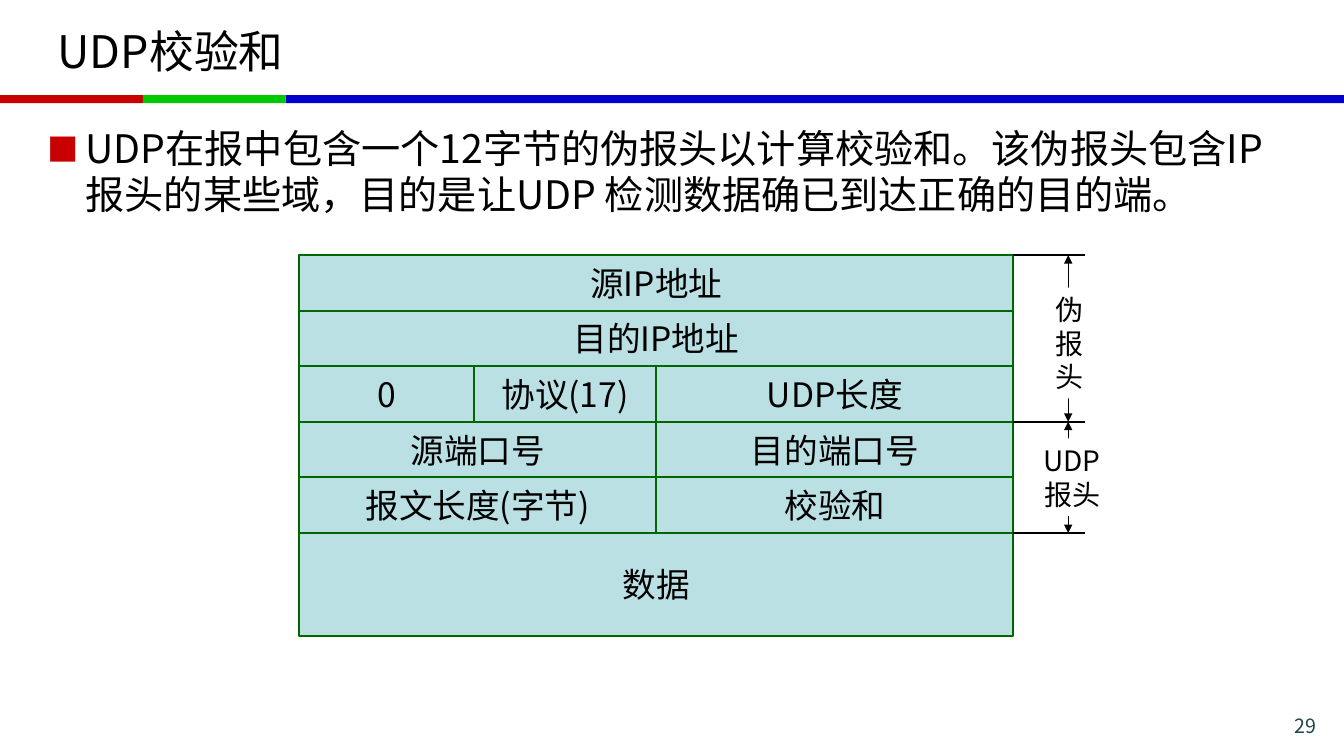
from lxml import etree
from pptx import Presentation
from pptx.dml.color import RGBColor
from pptx.enum import shapes, text
from pptx.oxml import ns
from pptx.util import Cm, Pt

FONT = "Noto Sans CJK SC"
LEFT, TOP, ROW = 7.54, 6.43, 1.4
THIRD, MID, HALF = 4.4, 4.6, 9
FULL = THIRD + MID + HALF
ROWS = [
    (ROW, [("源IP地址", FULL)]),
    (ROW, [("目的IP地址", FULL)]),
    (ROW, [("0", THIRD), ("协议(17)", MID), ("UDP长度", HALF)]),
    (ROW, [("源端口号", HALF), ("目的端口号", HALF)]),
    (ROW, [("报文长度(字节)", HALF), ("校验和", HALF)]),
    (2.59, [("数据", FULL)]),
]


def color(code):
    return RGBColor.from_string(code)


def child(parent, tag, **attrs):
    return etree.SubElement(parent, ns.qn(tag), attrs)


def write(shape, words, size=24, ink="000000", align="CENTER",
          anchor="MIDDLE", wrap=True, line=None):
    """Fill a shape with one paragraph; line is an exact line height in points."""
    frame = shape.text_frame
    frame.auto_size = text.MSO_AUTO_SIZE.NONE
    frame.word_wrap = wrap
    frame.vertical_anchor = text.MSO_ANCHOR[anchor]
    para = frame.paragraphs[0]
    para.alignment = text.PP_ALIGN[align]
    if line:
        para.line_spacing = Pt(line)
    run = para.add_run()
    run.text = words
    run.font.name = FONT
    run.font.size = Pt(size)
    run.font.color.rgb = color(ink)
    latin = run.font._element.find(ns.qn("a:latin"))
    latin.addnext(latin.makeelement(ns.qn("a:ea"), {"typeface": FONT}))
    return para


def add_box(slide, x, y, w, h, fill, edge=None):
    box = slide.shapes.add_shape(shapes.MSO_SHAPE.RECTANGLE,
                                 Cm(x), Cm(y), Cm(w), Cm(h))
    box.shadow.inherit = False
    box.fill.solid()
    box.fill.fore_color.rgb = color(fill)
    if edge:
        box.line.color.rgb = color(edge)
        box.line.width = Pt(1.5)
    else:
        box.line.fill.background()
    return box


def add_text(slide, x, y, w, h, words, **form):
    box = slide.shapes.add_textbox(Cm(x), Cm(y), Cm(w), Cm(h))
    return write(box, words, **form)


def add_line(slide, x1, y1, x2, y2, width=1, heads=False):
    line = slide.shapes.add_connector(shapes.MSO_CONNECTOR.STRAIGHT,
                                      Cm(x1), Cm(y1), Cm(x2), Cm(y2))
    line.line.color.rgb = color("000000")
    line.line.width = Pt(width)
    if heads:
        for tag in ("a:headEnd", "a:tailEnd"):
            child(line.line._get_or_add_ln(), tag, type="triangle")
    child(line._element.spPr, "a:effectLst")


def add_bullet(para):
    props = para._p.get_or_add_pPr()
    props.set("marL", str(Cm(0.97)))
    props.set("indent", str(-Cm(0.97)))
    child(child(props, "a:buClr"), "a:srgbClr", val="C80000")
    child(props, "a:buSzPct", val="80000")
    child(props, "a:buFont", typeface=FONT)
    child(props, "a:buChar", char="■")


def add_packet(slide):
    y = TOP
    for height, cells in ROWS:
        x = LEFT
        for words, width in cells:
            cell = add_box(slide, x, y, width, height, "BBE0E3", "006600")
            write(cell, words, wrap=False)
            x += width
        y += height


def add_spans(slide):
    """Mark which rows belong to each header, at the right of the packet."""
    right = LEFT + FULL
    marks = [TOP + ROW * n for n in (0, 3, 5)]
    for y in marks:
        add_line(slide, right, y, right + 1.8, y)
    for start, end in zip(marks, marks[1:]):
        add_line(slide, 26.92, start, 26.92, end, 0.75, heads=True)
    for words, x, y, w, h in (("伪报头", 26.35, 7.25, 1.04, 2.79),
                              ("UDP报头", 25.93, 11.05, 2.18, 1.96)):
        label = add_box(slide, x, y, w, h, "FFFFFF")
        write(label, words, size=20, anchor="TOP", line=24)


def main():
    deck = Presentation()
    deck.slide_width, deck.slide_height = Cm(33.87), Cm(19.05)
    slide = deck.slides.add_slide(deck.slide_layouts[5])

    for x, w, fill in ((7.2, 26.67, "0000C8"), (0, 3.6, "C80000"),
                       (3.6, 3.6, "00C800")):
        add_box(slide, x, 2.4, w, 0.2, fill)

    title = slide.shapes.title
    title.left, title.top = Cm(1.2), Cm(0.2)
    title.width, title.height = Cm(31.47), Cm(2.13)
    write(title, "UDP校验和", size=32, align="LEFT")

    body = add_text(
        slide, 0.94, 3.02, 32, 3.3,
        "UDP在报中包含一个12字节的伪报头以计算校验和。该伪报头包含IP报头的某些域，"
        "目的是让UDP 检测数据确已到达正确的目的端。",
        size=28, align="LEFT", anchor="TOP", line=33)
    add_bullet(body)

    add_packet(slide)
    add_spans(slide)
    add_text(slide, 30.12, 17.93, 3.3, 0.71, "29",
             size=14, ink="1E4649", align="RIGHT")
    deck.save("out.pptx")


if __name__ == "__main__":
    main()
